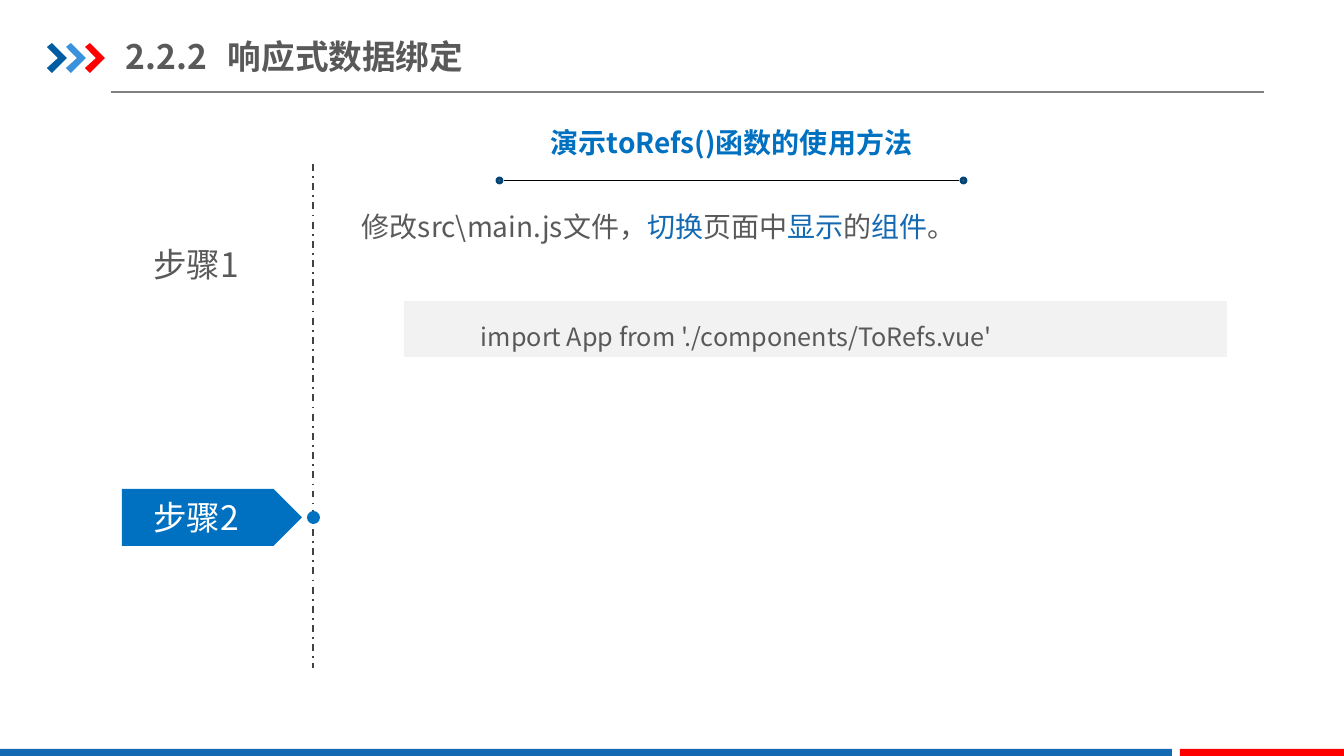
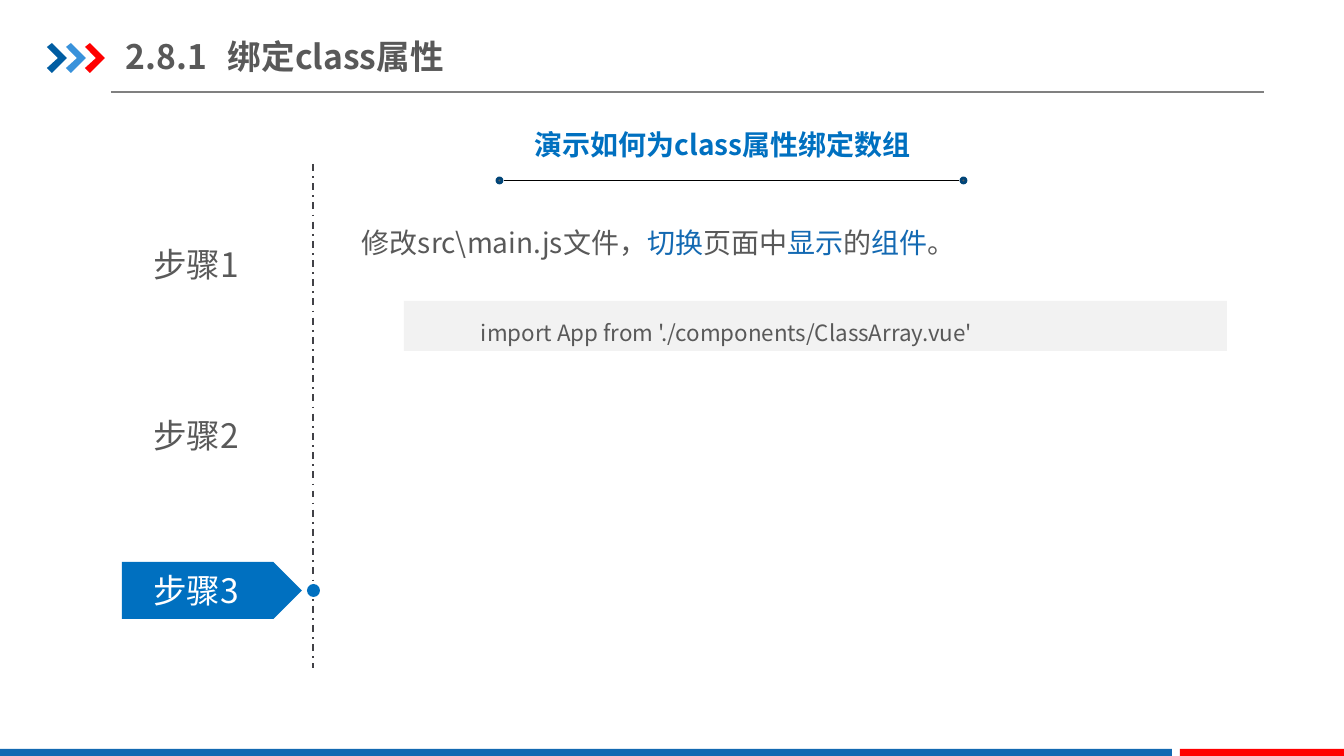
from lxml import etree
from pptx import Presentation
from pptx.dml.color import RGBColor
from pptx.enum.dml import MSO_LINE
from pptx.enum.shapes import MSO_CONNECTOR, MSO_SHAPE
from pptx.enum.text import MSO_ANCHOR, MSO_AUTO_SIZE, PP_ALIGN
from pptx.oxml.ns import qn
from pptx.util import Pt

SCALE = 914400 / 100.8
FONT = "Noto Sans CJK SC"

WHITE = RGBColor(0xFF, 0xFF, 0xFF)
BLACK = RGBColor(0, 0, 0)
TEXT_GREY = RGBColor(0x59, 0x59, 0x59)
RULE_GREY = RGBColor(0x80, 0x80, 0x80)
DASH_GREY = RGBColor(0x41, 0x41, 0x46)
CODE_GREY = RGBColor(0xF2, 0xF2, 0xF2)
ACCENT = RGBColor(0x00, 0x70, 0xC0)
BAND_BLUE = RGBColor(0x13, 0x69, 0xB2)
DEEP_BLUE = RGBColor(0x00, 0x5D, 0xA2)
LIGHT_BLUE = RGBColor(0x39, 0x92, 0xDB)
DOT_BLUE = RGBColor(0x00, 0x45, 0x78)
RED = RGBColor(0xFF, 0, 0)

RECTANGLE, OVAL, PENTAGON = MSO_SHAPE.RECTANGLE, MSO_SHAPE.OVAL, MSO_SHAPE.PENTAGON
STRAIGHT = MSO_CONNECTOR.STRAIGHT
DASH_DOT = MSO_LINE.DASH_DOT
TOP, MIDDLE = MSO_ANCHOR.TOP, MSO_ANCHOR.MIDDLE
LEFT, CENTER = PP_ALIGN.LEFT, PP_ALIGN.CENTER
NO_AUTOFIT = MSO_AUTO_SIZE.NONE

CHEVRON = [(0, 4), (5, 0), (20, 15), (5, 30), (0, 25), (11, 15)]
INSTRUCTION = [
    ("修改src\\main.js文件，", TEXT_GREY), ("切换", BAND_BLUE),
    ("页面中", TEXT_GREY), ("显示", BAND_BLUE), ("的", TEXT_GREY),
    ("组件", BAND_BLUE), ("。", TEXT_GREY),
]


def px(length):
    return round(length * SCALE)


def box_emu(box):
    return [px(length) for length in box]


def paint(shape, fill, outline=None, width=0):
    shape.shadow.inherit = False
    shape.fill.solid()
    shape.fill.fore_color.rgb = fill
    if outline is None:
        shape.line.fill.background()
    else:
        shape.line.color.rgb = outline
        shape.line.width = Pt(width)


def add_block(slide, kind, box, fill, outline=None, width=0):
    block = slide.shapes.add_shape(kind, *box_emu(box))
    paint(block, fill, outline, width)
    return block


def add_rule(slide, start, end, color, width, dash=None):
    rule = slide.shapes.add_connector(STRAIGHT, *box_emu(start + end))
    rule.line.color.rgb = color
    rule.line.width = Pt(width)
    if dash is not None:
        rule.line.dash_style = dash
    etree.SubElement(rule._element.spPr, qn("a:effectLst"))


def write(frame, runs, size, color, align=LEFT, bold=False, spacing=None, tab=None):
    frame.word_wrap = True
    frame.auto_size = NO_AUTOFIT
    paragraph = frame.paragraphs[0]
    properties = paragraph._p.get_or_add_pPr()
    if tab:
        stops = etree.SubElement(properties, qn("a:tabLst"))
        etree.SubElement(stops, qn("a:tab"), pos=str(px(tab)), algn="l")
    paragraph.alignment = align
    if spacing:
        paragraph.line_spacing = spacing
    font = paragraph.font
    font.size = Pt(size)
    font.bold = bold
    font.name = FONT
    font.color.rgb = color
    east_asian = etree.SubElement(properties.find(qn("a:defRPr")), qn("a:ea"))
    east_asian.set("typeface", FONT)
    for text, run_color in runs:
        run = paragraph.add_run()
        run.text = text
        if run_color != color:
            run.font.color.rgb = run_color


def add_text(slide, box, runs, size, color, **style):
    frame = slide.shapes.add_textbox(*box_emu(box)).text_frame
    write(frame, runs, size, color, **style)


def add_header(slide, title, box):
    left, top, width, height = box
    heading = slide.shapes.title
    heading.left, heading.top, heading.width, heading.height = box_emu(box)
    frame = heading.text_frame
    frame.margin_left = frame.margin_right = 0
    frame.margin_top = frame.margin_bottom = px(7)
    frame.vertical_anchor = MIDDLE
    write(frame, [(title, TEXT_GREY)], 24, TEXT_GREY, bold=True, tab=102)
    rule_y = top + height + 8
    add_rule(slide, (left - 15, rule_y), (left + 1138, rule_y), RULE_GREY, 0.75)
    for index, color in enumerate((DEEP_BLUE, LIGHT_BLUE, RED)):
        x, y = left - 79 + 19 * index, top + 14
        outline = [(x + dx, y + dy) for dx, dy in CHEVRON]
        builder = slide.shapes.build_freeform(*outline[0], scale=SCALE)
        builder.add_line_segments(outline[1:], close=True)
        paint(builder.convert_to_shape(), color)


def add_footer(slide, box):
    left, top, width, height = box
    split, gap = 1172, 8
    add_block(slide, RECTANGLE, (left, top, split, height), BAND_BLUE)
    add_block(slide, RECTANGLE,
              (left + split + gap, top, width - split - gap, height), RED)


def add_steps(slide, box, label_offsets):
    left, top, width, height = box
    axis = left + width
    add_rule(slide, (axis, top), (axis, top + height), DASH_GREY, 1.25, DASH_DOT)
    for number, offset in enumerate(label_offsets, 1):
        label_top = top + offset
        current = number == len(label_offsets)
        color = WHITE if current else TEXT_GREY
        if current:
            add_block(slide, PENTAGON, (left + 8, label_top - 3, 180, 57), ACCENT)
            add_block(slide, OVAL, (axis - 6, label_top + 19, 13, 13), ACCENT)
        add_text(slide, (left, label_top, 164, 50), [(f"步骤{number}", color)],
                 24, color, align=CENTER)


def add_topic(slide, topic, box):
    add_text(slide, box, [(topic, ACCENT)], 20, ACCENT, align=CENTER, bold=True)


def add_underline(slide, box):
    left, top, width, dot = box
    middle = top + dot / 2
    add_rule(slide, (left + 7, middle), (left + width - 7, middle), BLACK, 0.75)
    for x in (left, left + width - dot):
        add_block(slide, OVAL, (x, top, dot, dot), TEXT_GREY, DOT_BLUE, 2)


def add_instruction(slide, box):
    add_text(slide, box, INSTRUCTION, 20, TEXT_GREY, spacing=1.5)


def add_code(slide, code, size, box):
    panel = add_block(slide, RECTANGLE, box, CODE_GREY)
    panel.text_frame.margin_left = px(77)
    panel.text_frame.vertical_anchor = TOP
    write(panel.text_frame, [(code, TEXT_GREY)], size, TEXT_GREY, spacing=1.5)


def add_step_slide(deck, title, topic, topic_box, label_offsets,
                   instruction_top, code, code_size, code_height):
    slide = deck.slides.add_slide(deck.slide_layouts[5])
    add_header(slide, title, (126, 29, 429, 55))
    add_footer(slide, (0, 749, 1344, 7))
    add_steps(slide, (114, 164, 199, 504), label_offsets)
    add_topic(slide, topic, topic_box)
    add_underline(slide, (497, 178, 469, 5))
    add_instruction(slide, (352, instruction_top, 931, 55))
    add_code(slide, code, code_size, (404, 301, 823, code_height))


def main():
    deck = Presentation()
    deck.slide_width, deck.slide_height = px(1344), px(756)
    add_step_slide(
        deck, "2.2.2\t响应式数据绑定",
        "演示toRefs()函数的使用方法", (497, 121, 469, 44), (75, 328),
        188, "import App from './components/ToRefs.vue'", 18, 56)
    add_step_slide(
        deck, "2.8.1\t绑定class属性",
        "演示如何为class属性绑定数组", (413, 123, 619, 44), (75, 246, 401),
        204, "import App from './components/ClassArray.vue'", 16, 50)
    deck.save("out.pptx")


if __name__ == "__main__":
    main()
